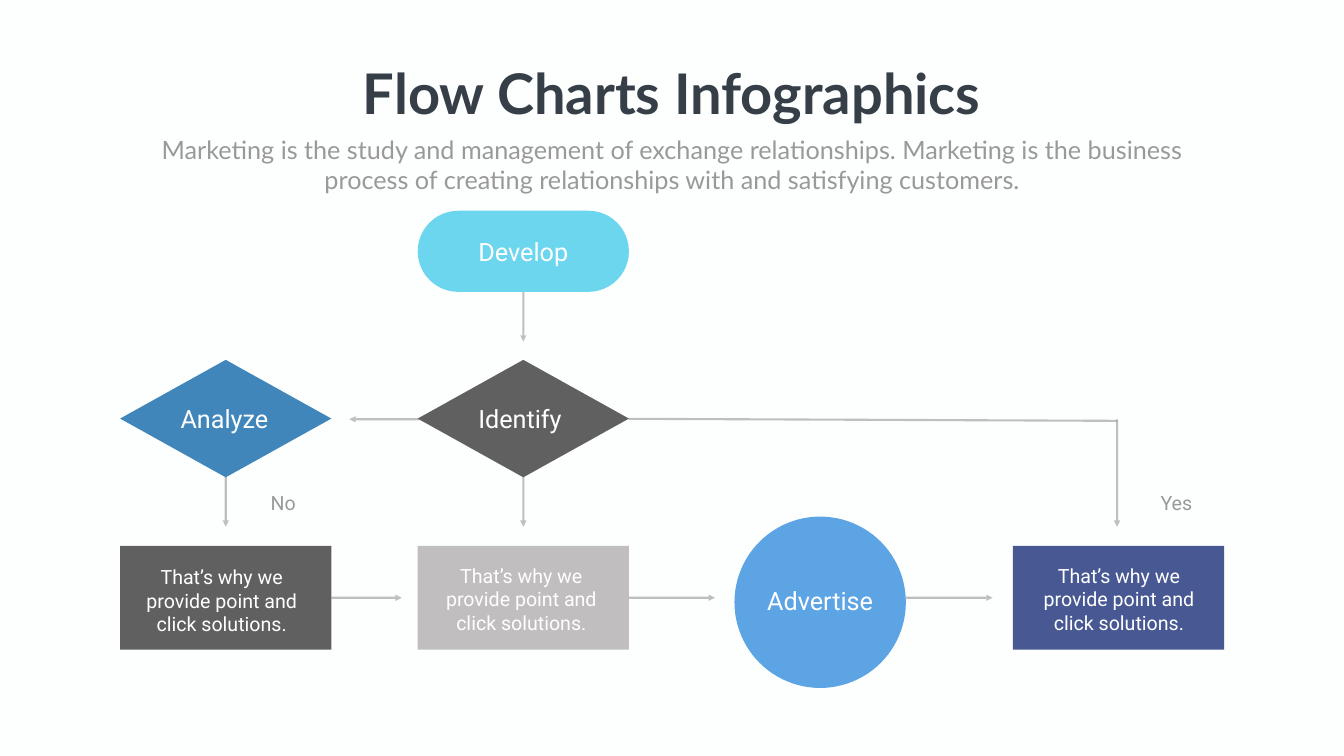
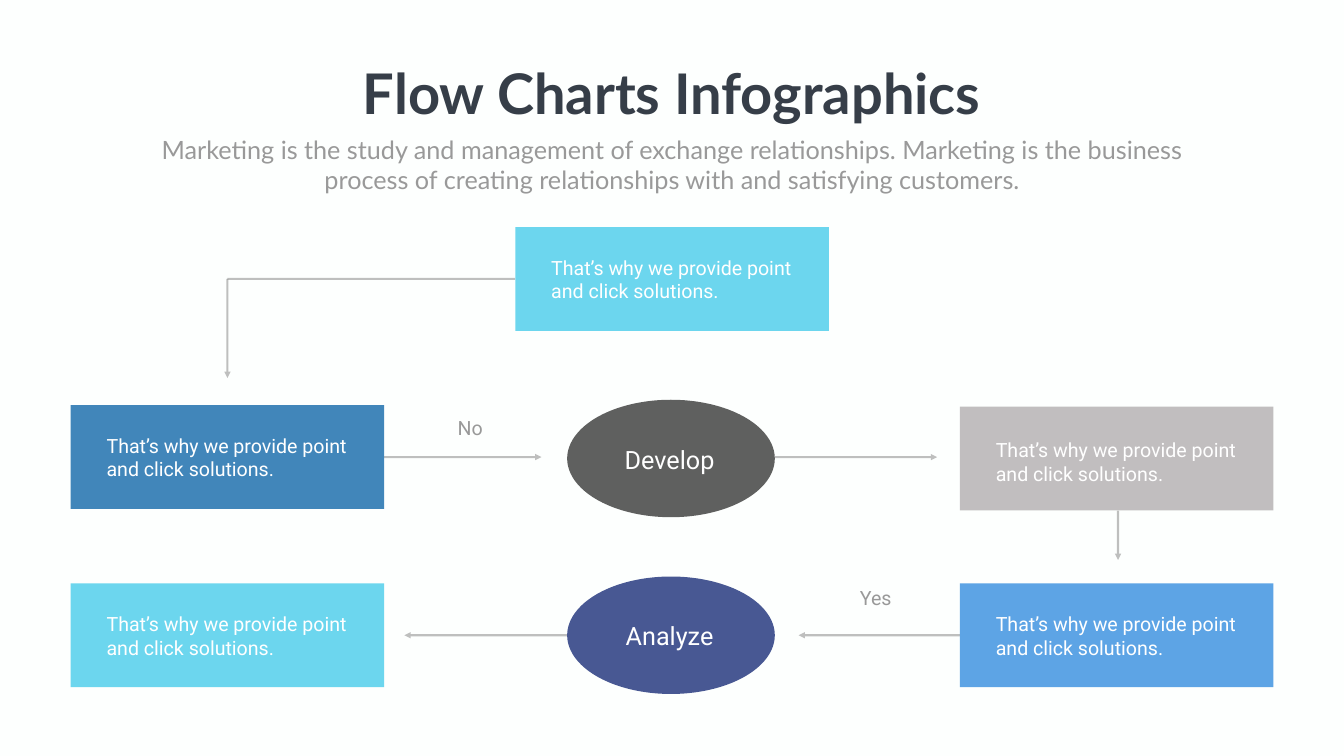
from dataclasses import dataclass
from lxml.etree import SubElement
from pptx import Presentation
from pptx.dml.color import RGBColor
from pptx.enum.shapes import MSO_CONNECTOR as Connector, MSO_SHAPE as Preset
from pptx.enum.text import MSO_AUTO_SIZE as AutoSize, PP_ALIGN as Align
from pptx.oxml.ns import qn
from pptx.util import Pt


@dataclass(frozen=True)
class Theme:
    background: str = "FDFFFE"
    heading: str = "363E48"
    muted: str = "999999"
    white: str = "FFFFFF"
    line: str = "808080"
    cyan: str = "6CD6EE"
    blue: str = "4186BA"
    sky: str = "5DA4E5"
    indigo: str = "485893"
    charcoal: str = "5F605F"
    silver: str = "C1BEBF"
    title_font: str = "Lato"
    body_font: str = "Roboto"
    title_size: int = 80
    label_size: int = 36
    note_size: int = 28
    line_width: int = 3
    line_alpha: int = 50


@dataclass(frozen=True)
class Box:
    left: float
    top: float
    width: float
    height: float

    def centred(self, x, y, width, height):
        return Box(self.left + x - width / 2, self.top + y - height / 2, width, height)

    def middle(self, width, height, shift=(0, 0)):
        return self.centred(self.width / 2 + shift[0], self.height / 2 + shift[1], width, height)

    def lengths(self):
        return [Pt(value) for value in (self.left, self.top, self.width, self.height)]


THEME = Theme()
SLIDE_SIZE = (1919.52, 1080)
HEADER_BOX = Box(210.24, 80.64, 1499.04, 201.6)
DECISION_BOX = Box(171.4, 301, 1577, 682)
PROCESS_BOX = Box(100.8, 324, 1718, 676)
TITLE = "Flow Charts Infographics"
SUBTITLE = (
    "Marketing is the study and management of exchange relationships. "
    "Marketing is the business process of creating relationships with and satisfying customers."
)
NOTE = "That’s why we provide point and click solutions."
WORD_SIZE = (244.8, 51)
NARROW_NOTE = (264.2, 108.7)
WIDE_NOTE = (359.3, 75)
TAG_SIZE = (75.6, 41)
DIAMOND = (301.7, 167.8)
BLOCK = (301.7, 148.3)
OVAL = (296.6, 167.8)
CARD = (447.8, 148.3)


def add_text(shapes, box, text, size=THEME.label_size, color=THEME.white,
             font=THEME.body_font, bold=False, align=Align.CENTER, wrap=True):
    shape = shapes.add_textbox(*box.lengths())
    frame = shape.text_frame
    frame.word_wrap = wrap
    frame.auto_size = AutoSize.SHAPE_TO_FIT_TEXT
    paragraph = frame.paragraphs[0]
    paragraph.alignment = align
    run = paragraph.add_run()
    run.text = text
    run.font.name = font
    run.font.size = Pt(size)
    run.font.bold = bold
    run.font.color.rgb = RGBColor.from_string(color)


def add_node(shapes, box, preset, fill, text, text_size=WORD_SIZE, shift=(0, 0), **text_format):
    group = shapes.add_group_shape().shapes
    shape = group.add_shape(preset, *box.lengths())
    shape.shadow.inherit = False
    shape.fill.solid()
    shape.fill.fore_color.rgb = RGBColor.from_string(fill)
    shape.line.fill.background()
    if preset == Preset.ROUNDED_RECTANGLE:
        shape.adjustments[0] = 0.5
    add_text(group, box.middle(*text_size, shift), text, **text_format)


def add_link(shapes, box, start, end, arrow=True):
    points = [Pt(value) for x, y in (start, end) for value in (box.left + x, box.top + y)]
    connector = shapes.add_connector(Connector.STRAIGHT, *points)
    connector.line.width = Pt(THEME.line_width)
    connector.line.color.rgb = RGBColor.from_string(THEME.line)
    properties = connector._element.spPr
    color = properties.find(".//" + qn("a:srgbClr"))
    SubElement(color, qn("a:alpha"), val=str(THEME.line_alpha * 1000))
    if arrow:
        SubElement(properties.find(qn("a:ln")), qn("a:tailEnd"), type="triangle")
    SubElement(properties, qn("a:effectLst"))


def add_tag(shapes, box, text, x, y):
    add_text(shapes, box.centred(x, y, *TAG_SIZE), text, size=THEME.note_size, color=THEME.muted)


def add_header(shapes, box):
    group = shapes.add_group_shape().shapes
    add_text(group, box.centred(box.width / 2, 52.2, 914.4, 104.4), TITLE, size=THEME.title_size,
             color=THEME.heading, font=THEME.title_font, bold=True, wrap=False)
    add_text(group, box.centred(box.width / 2, 154.4, box.width, 94.3), SUBTITLE,
             color=THEME.muted, font=THEME.title_font)


def add_decision_flow(shapes, box):
    columns = [151 + 425 * index for index in range(4)]
    analyze, identify, advertise, finish = columns
    start_row, decision_row, block_row = 58, 297, 553
    links = [
        ((identify, 115), (identify, 187)),
        ((analyze, 379.4), (analyze, 451.4)),
        ((identify, 379.4), (identify, 451.4)),
        ((302, block_row), (402.4, block_row)),
        ((725.7, block_row), (849.6, block_row)),
        ((1122.4, block_row), (1246.3, block_row)),
        ((428.4, 298), (327.6, 298)),
        ((1424, 298), (1424, 451.4)),
    ]
    for start, end in links:
        add_link(shapes, box, start, end)
    add_link(shapes, box, (726.4, 297.3), (1424, 300.2), arrow=False)

    add_node(shapes, box.centred(identify, start_row, 301.7, 115.9),
             Preset.ROUNDED_RECTANGLE, THEME.cyan, "Develop")
    decisions = [(analyze, THEME.blue, "Analyze", -1.8), (identify, THEME.charcoal, "Identify", -4.7)]
    for x, fill, text, shift in decisions:
        add_node(shapes, box.centred(x, decision_row, *DIAMOND), Preset.DIAMOND, fill, text,
                 shift=(shift, 0.7))
    blocks = [(analyze, THEME.charcoal, (-5.8, 4)), (identify, THEME.silver, (-2.9, 2)),
              (finish, THEME.indigo, (0.7, 2))]
    for x, fill, shift in blocks:
        add_node(shapes, box.centred(x, block_row, *BLOCK), Preset.RECTANGLE, fill, NOTE,
                 NARROW_NOTE, shift, size=THEME.note_size)
    add_node(shapes, box.centred(advertise - 1, 559.4, 244.8, 244.8), Preset.OVAL, THEME.sky,
             "Advertise", shift=(0, -2.5))
    add_tag(shapes, box, "No", 233, 417)
    add_tag(shapes, box, "Yes", 1508.7, 417)


def add_process_flow(shapes, box):
    left, center, right = [224 + 635 * index for index in range(3)]
    top, middle, bottom = [74.5 + 254.5 * index for index in range(3)]
    links = [
        ((1005.8, middle), (1237.7, middle)),
        ((709, bottom), (476.6, bottom)),
        ((440, middle), (672.5, middle)),
        ((1272, bottom), (1039.7, bottom)),
        ((left, top), (left, 216)),
        ((1496, 405.4), (1496, 476)),
    ]
    for start, end in links:
        add_link(shapes, box, start, end)
    add_link(shapes, box, (635, top), (left, top), arrow=False)

    cards = [
        (center, top, THEME.cyan, 0.7),
        (left, middle, THEME.blue, 0.7),
        (right, middle + 2, THEME.silver, 4.5),
        (left, bottom, THEME.cyan, 0.7),
        (right, bottom, THEME.sky, 0.7),
    ]
    for x, y, fill, shift in cards:
        add_node(shapes, box.centred(x, y, *CARD), Preset.RECTANGLE, fill, NOTE, WIDE_NOTE,
                 (0, shift), size=THEME.note_size, align=Align.LEFT)
    ovals = [(middle + 2, THEME.charcoal, "Develop"), (bottom, THEME.indigo, "Analyze")]
    for y, fill, text in ovals:
        add_node(shapes, box.centred(center - 1.5, y, *OVAL), Preset.OVAL, fill, text, shift=(-2, 1))
    add_tag(shapes, box, "No", 570.6, 287)
    add_tag(shapes, box, "Yes", 1150, 529.6)


def add_flow_slide(presentation, add_flow, box):
    slide = presentation.slides.add_slide(presentation.slide_layouts[6])
    slide.background.fill.solid()
    slide.background.fill.fore_color.rgb = RGBColor.from_string(THEME.background)
    add_flow(slide.shapes, box)
    add_header(slide.shapes, HEADER_BOX)


def main():
    presentation = Presentation()
    presentation.slide_width, presentation.slide_height = [Pt(value) for value in SLIDE_SIZE]
    add_flow_slide(presentation, add_decision_flow, DECISION_BOX)
    add_flow_slide(presentation, add_process_flow, PROCESS_BOX)
    presentation.save("out.pptx")


if __name__ == "__main__":
    main()
